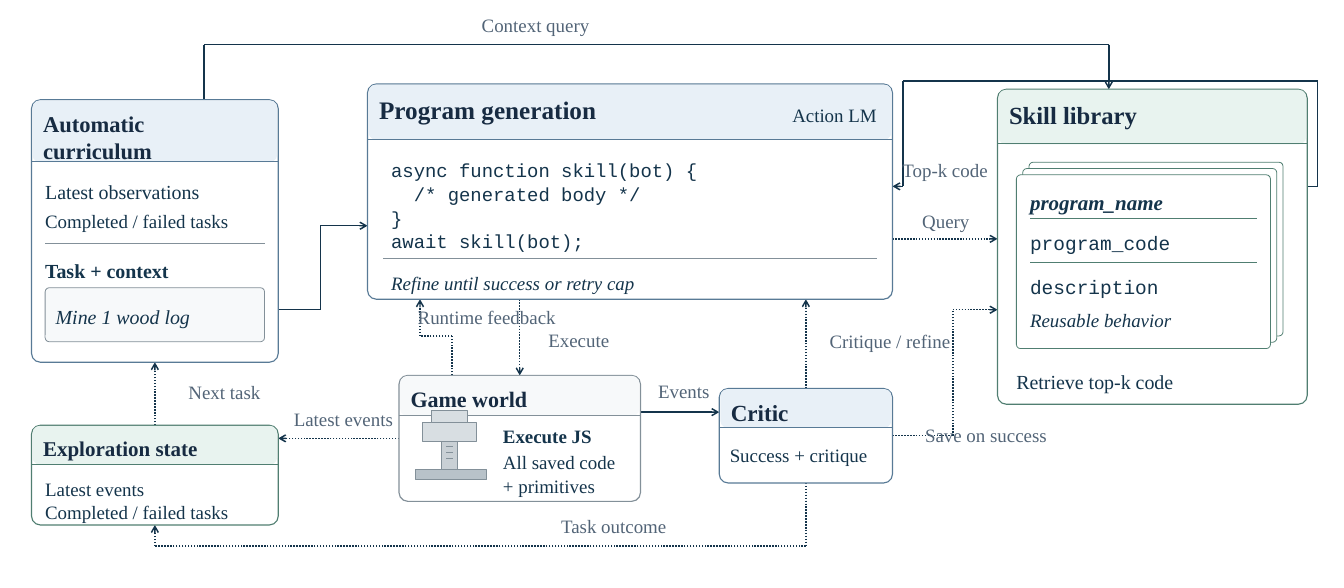
"""Draw the flow chart of an agent that learns skills by writing code."""
from dataclasses import dataclass
from itertools import pairwise
from math import ceil

from lxml.etree import SubElement
from pptx import Presentation
from pptx.dml.color import RGBColor
from pptx.enum.dml import MSO_LINE
from pptx.enum.shapes import MSO_CONNECTOR, MSO_SHAPE
from pptx.enum.text import MSO_ANCHOR, MSO_AUTO_SIZE, PP_ALIGN
from pptx.oxml.ns import qn
from pptx.util import Pt

PX = 9525
SERIF, MONO = "Times New Roman", "Courier New"
LEFT, MID, RIGHT = PP_ALIGN.LEFT, PP_ALIGN.CENTER, PP_ALIGN.RIGHT
WHITE = RGBColor(0xFF, 0xFF, 0xFF)
INK = RGBColor(0x14, 0x34, 0x4B)
NAVY = RGBColor(0x17, 0x2B, 0x42)
SLATE = RGBColor(0x52, 0x64, 0x77)
BLUE = RGBColor(0x58, 0x7A, 0x96)
GREEN = RGBColor(0x50, 0x7E, 0x71)
GRAY = RGBColor(0x83, 0x90, 0x99)
SKY = RGBColor(0xE8, 0xF0, 0xF7)
MINT = RGBColor(0xE8, 0xF3, 0xEF)
MIST = RGBColor(0xF7, 0xF9, 0xFA)
STEEL = RGBColor(0xB8, 0xC2, 0xC9)
STEM = RGBColor(0xC9, 0xD0, 0xD5)
TOP = RGBColor(0xD8, 0xDE, 0xE2)
BOX_PT, HEAD_PT, THIN_PT, FLOW_PT = 1.65, 1.05, 1.13, 2.1


@dataclass
class Panel:
    """A rounded box with a tinted head and a heading."""
    name: str
    x: int
    y: int
    w: int
    h: int
    head: int
    size: float
    line: RGBColor
    tint: RGBColor
    pitch: int = 0


@dataclass
class Label:
    """A text of one or more lines; pitch is the line step in px."""
    text: str
    x: int
    y: int
    w: int
    size: float = 27
    font: str = SERIF
    color: RGBColor = INK
    bold: bool = False
    slant: bool = False
    align: PP_ALIGN = LEFT
    pitch: int = 0


@dataclass
class Flow:
    """An arrow through a run of points."""
    points: list[tuple[int, int]]
    dotted: bool = True


FLOWS = [
    Flow([(530, 590), (610, 590), (610, 430), (700, 430)], False),
    Flow([(990, 570), (990, 715)]),
    Flow([(1220, 785), (1370, 785)], False),
    Flow([(861, 715), (861, 640), (800, 640), (800, 570)]),
    Flow([(1535, 740), (1535, 570)]),
    Flow([(1700, 830), (1815, 830), (1815, 590), (1900, 590)]),
    Flow([(2490, 355), (2510, 355), (2510, 154), (1720, 154), (1720, 355), (1700, 355)], False),
    Flow([(1700, 455), (1900, 455)]),
    Flow([(389, 190), (389, 85), (2112, 85), (2112, 170)], False),
    Flow([(760, 835), (530, 835)]),
    Flow([(1535, 920), (1535, 1040), (295, 1040), (295, 1000)]),
    Flow([(295, 810), (295, 690)]),
]
MAIN = Panel("Program generation", 700, 160, 1000, 410, 105, 36, BLUE, SKY)
PANELS = [
    Panel("Automatic\ncurriculum", 60, 190, 470, 500, 118, 32.2, BLUE, SKY, 52),
    MAIN,
    Panel("Game world", 760, 715, 460, 240, 76, 31.5, GRAY, MIST),
    Panel("Critic", 1370, 740, 330, 180, 74, 33, BLUE, SKY),
    Panel("Skill library", 1900, 170, 590, 600, 104, 35.2, GREEN, MINT),
    Panel("Exploration state", 60, 810, 470, 190, 74, 30, GREEN, MINT),
]
ANVIL = [(792, 894, 135, 20, STEEL), (841, 841, 30, 53, STEM),
         (805, 805, 102, 35, TOP), (821, 782, 70, 23, TOP)]
RULES = [(86, 504, 464, GRAY), (730, 1670, 493, GRAY),
         (1962, 2394, 416, GREEN), (1962, 2394, 499, GREEN),
         *((850, 862, y, GRAY) for y in (850, 862, 874))]
NOTES = [("Execute", 1030, 623, 145), ("Events", 1240, 720, 125),
         ("Runtime feedback", 775, 580, 304), ("Critique / refine", 1565, 625, 260),
         ("Save on success", 1735, 804, 286), ("Top-k code", 1704, 299, 192),
         ("Query", 1744, 396, 115), ("Context query", 900, 23, 240),
         ("Latest events", 540, 774, 228), ("Task outcome", 1050, 977, 238),
         ("Next task", 345, 723, 165)]
LABELS = [
    *(Label(*note, color=SLATE, align=MID) for note in NOTES),
    Label("Latest observations", 86, 340, 418, 28.5),
    Label("Completed / failed tasks", 86, 397, 418),
    Label("Task + context", 86, 489, 418, 28.5, bold=True),
    Label("Mine 1 wood log", 106, 578, 378, 28.5, slant=True),
    Label("Action LM", 1455, 194, 215, align=RIGHT),
    Label("Refine until success or retry cap", 745, 514, 910, slant=True),
    Label("Execute JS", 958, 806, 240, bold=True),
    Label("All saved code\n+ primitives", 958, 854, 240, pitch=47),
    Label("Success + critique", 1390, 842, 290),
    Label("program_name", 1962, 358, 432, 30, bold=True, slant=True),
    Label("program_code", 1962, 438, 432, 27.8, MONO),
    Label("description", 1962, 521, 432, 27.8, MONO),
    Label("Reusable behavior", 1962, 585, 432, slant=True),
    Label("Retrieve top-k code", 1936, 701, 510, 28.5),
    Label("Latest events\nCompleted / failed tasks", 86, 907, 418, pitch=45),
]
CODE = Label("async function skill(bot) {\n  /* generated body */\n}\nawait skill(bot);",
             745, 301, 910, font=MONO, pitch=45)


def draw_line(slide, start, end, color, width, dotted=False, arrow=False) -> None:
    """Draw one straight line between two points."""
    line = slide.shapes.add_connector(MSO_CONNECTOR.STRAIGHT, *(n * PX for n in (*start, *end)))
    line.line.color.rgb = color
    line.line.width = Pt(width)
    if dotted:
        line.line.dash_style = MSO_LINE.ROUND_DOT
    props = line.element.spPr
    if arrow:
        SubElement(props.find(qn("a:ln")), qn("a:tailEnd"), type="arrow", w="lg", len="lg")
    SubElement(props, qn("a:effectLst"))


def draw_flow(slide, flow: Flow) -> None:
    """Draw the legs of an arrow, with a head on the last one."""
    for start, end in pairwise(flow.points):
        draw_line(slide, start, end, INK, FLOW_PT, flow.dotted, end == flow.points[-1])


def draw_box(slide, x: int, y: int, w: int, h: int, fill, line=None, width=THIN_PT, radius=0) -> None:
    """Draw a plain or rounded box."""
    kind = MSO_SHAPE.ROUNDED_RECTANGLE if radius else MSO_SHAPE.RECTANGLE
    box = slide.shapes.add_shape(kind, x * PX, y * PX, w * PX, h * PX)
    box.shadow.inherit = False
    if radius:
        box.adjustments[0] = radius / min(w, h)
    box.fill.solid()
    box.fill.fore_color.rgb = fill
    if line is None:
        box.line.fill.background()
    else:
        box.line.color.rgb = line
        box.line.width = Pt(width)


def draw_label(slide, label: Label, holder=None) -> None:
    """Write a label in a new text box or in a placeholder brought to the front."""
    lines = label.text.count("\n") + 1
    high = label.pitch * lines or round(label.size * 1.8)
    if holder is None:
        holder = slide.shapes.add_textbox(0, 0, 0, 0)
    else:
        holder.element.getparent().append(holder.element)
    holder.left, holder.top = label.x * PX, label.y * PX
    holder.width, holder.height = label.w * PX, high * PX
    frame = holder.text_frame
    frame.text = label.text
    frame.word_wrap = False
    frame.auto_size = MSO_AUTO_SIZE.NONE
    frame.vertical_anchor = MSO_ANCHOR.MIDDLE
    frame.margin_left = frame.margin_right = frame.margin_top = frame.margin_bottom = 0
    for para in frame.paragraphs:
        props = para._p.get_or_add_pPr()
        props.set("marL", "0")
        props.set("indent", "0")
        SubElement(props, qn("a:buNone"))
        para.alignment = label.align
        para.space_before = Pt(0)
        if label.pitch:
            para.line_spacing = Pt(label.pitch * 0.75)
        for run in para.runs:
            font = run.font
            font.name, font.size = label.font, Pt(label.size)
            font.bold, font.italic = label.bold, label.slant
            font.color.rgb = label.color


def draw_panel(slide, panel: Panel) -> None:
    """Draw a panel with its head and the line below it."""
    x, y, w = panel.x, panel.y, panel.w
    draw_box(slide, x, y, w, panel.h, WHITE, panel.line, BOX_PT, 17)
    draw_box(slide, x + 2, y + 1, w - 4, panel.head, panel.tint, radius=14)
    base = y + panel.head
    draw_line(slide, (x, base), (x + w, base), panel.line, HEAD_PT)


def main() -> None:
    """Build and save the slide."""
    deck = Presentation()
    deck.slide_width, deck.slide_height = 2560 * PX, 1120 * PX
    slide = deck.slides.add_slide(deck.slide_layouts[1])
    title, body = slide.shapes.title, slide.placeholders[1]
    for flow in FLOWS:
        draw_flow(slide, flow)
    for panel in PANELS:
        draw_panel(slide, panel)
    draw_box(slide, 86, 548, 418, 103, MIST, GRAY, radius=8)
    for step in (24, 12, 0):
        draw_box(slide, 1936 + step, 333 - step, 484, 331, WHITE, GREEN, radius=8)
    for x, y, w, h, fill in ANVIL:
        draw_box(slide, x, y, w, h, fill, GRAY)
    for left, right, y, color in RULES:
        draw_line(slide, (left, y), (right, y), color, THIN_PT)
    for panel in PANELS:
        rise = 19 if panel.pitch else 20 - ceil(panel.size * 0.1)
        name = Label(panel.name, panel.x + 22, panel.y + rise, panel.w - 44, panel.size,
                     color=NAVY, bold=True, pitch=panel.pitch)
        draw_label(slide, name, title if panel is MAIN else None)
    draw_label(slide, CODE, body)
    for label in LABELS:
        draw_label(slide, label)
    deck.save("out.pptx")


if __name__ == "__main__":
    main()
